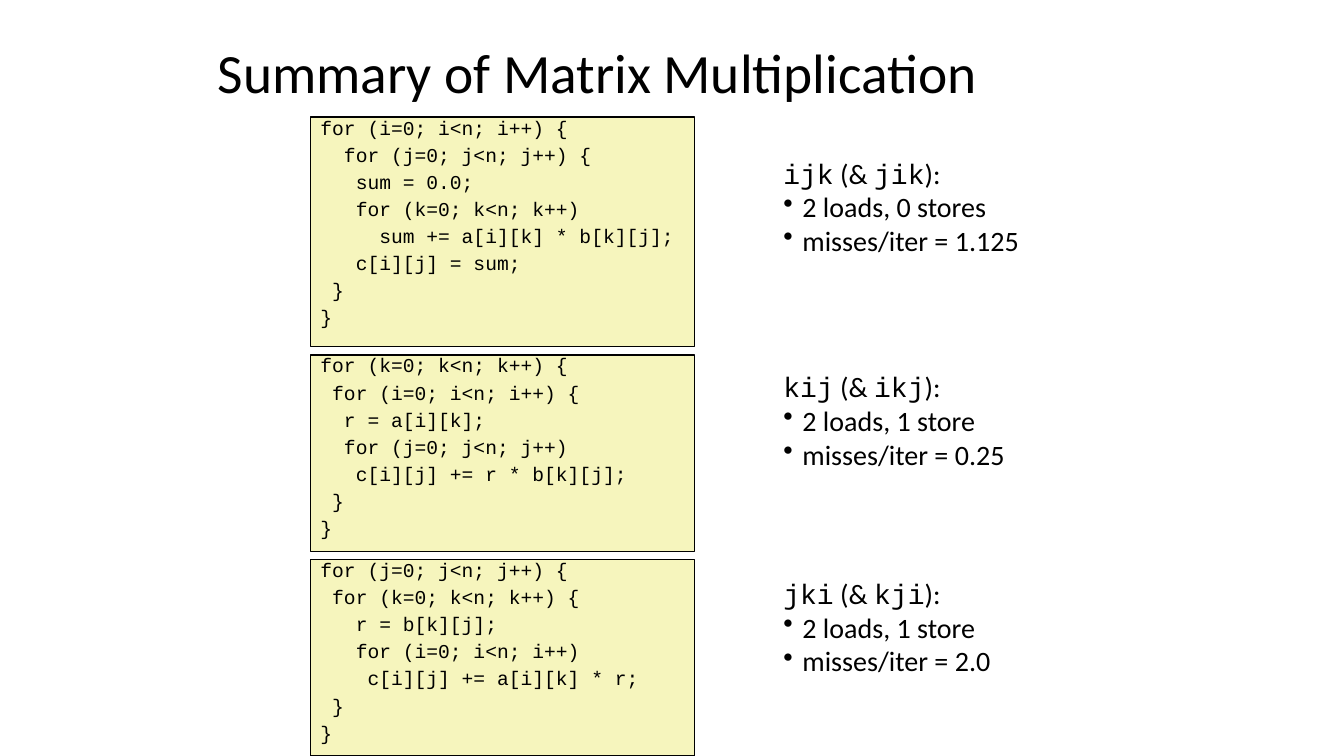
from dataclasses import dataclass

import pptx
import pptx.dml.color
import pptx.enum.shapes
import pptx.enum.text
import pptx.oxml
import pptx.oxml.ns
import pptx.util
from pptx.util import Inches


@dataclass(frozen=True)
class Theme:
    text: str = "000000"
    code_fill: str = "F6F5BD"
    body_font: str = "Calibri"
    code_font: str = "Courier New"
    title_size: float = 39.6
    note_size: float = 20
    code_size: float = 14


@dataclass(frozen=True)
class LoopOrder:
    name: str
    twin: str
    facts: tuple
    code: str
    code_top: float
    code_height: float
    note_top: float


THEME = Theme()

LOOP_ORDERS = (
    LoopOrder("ijk", "jik", ("2 loads, 0 stores", "misses/iter = 1.125"),
              """for (i=0; i<n; i++) {
  for (j=0; j<n; j++) {
   sum = 0.0;
   for (k=0; k<n; k++)
     sum += a[i][k] * b[k][j];
   c[i][j] = sum;
 }
}""", 1.16, 2.28, 1.5),
    LoopOrder("kij", "ikj", ("2 loads, 1 store", "misses/iter = 0.25"),
              """for (k=0; k<n; k++) {
 for (i=0; i<n; i++) {
  r = a[i][k];
  for (j=0; j<n; j++)
   c[i][j] += r * b[k][j];
 }
}""", 3.52, 1.95, 3.62),
    LoopOrder("jki", "kji", ("2 loads, 1 store", "misses/iter = 2.0"),
              """for (j=0; j<n; j++) {
 for (k=0; k<n; k++) {
   r = b[k][j];
   for (i=0; i<n; i++)
    c[i][j] += a[i][k] * r;
 }
}""", 5.55, 1.95, 5.67),
)


def color(value):
    return pptx.dml.color.RGBColor.from_string(value)


def add_run(paragraph, text, font, size):
    run = paragraph.add_run()
    run.text = text
    run.font.name = font
    run.font.size = pptx.util.Pt(size)
    run.font.color.rgb = color(THEME.text)


def prepare_frame(shape, anchor):
    frame = shape.text_frame
    frame.word_wrap = True
    frame.auto_size = pptx.enum.text.MSO_AUTO_SIZE.NONE
    frame.vertical_anchor = anchor
    frame.margin_left = frame.margin_right = Inches(0.1)
    frame.margin_top = frame.margin_bottom = Inches(0.05)
    return frame


def next_paragraph(frame, index):
    paragraph = frame.add_paragraph() if index else frame.paragraphs[0]
    paragraph.alignment = pptx.enum.text.PP_ALIGN.LEFT
    return paragraph


def add_bullet(paragraph):
    properties = paragraph._p.get_or_add_pPr()
    indent = Inches(0.19)
    properties.set("marL", str(indent))
    properties.set("indent", str(-indent))
    bullet = pptx.oxml.parse_xml(
        f'<a:buChar {pptx.oxml.ns.nsdecls("a")} char="\u2022"/>')
    properties.append(bullet)


def set_title(slide, text):
    title = slide.shapes.title
    title.left, title.top = Inches(2.06), Inches(0.33)
    title.width, title.height = Inches(8.3), Inches(0.83)
    frame = prepare_frame(title, pptx.enum.text.MSO_ANCHOR.MIDDLE)
    paragraph = next_paragraph(frame, 0)
    paragraph.line_spacing = 0.9
    add_run(paragraph, text, THEME.body_font, THEME.title_size)


def add_code_box(slide, order):
    box = slide.shapes.add_shape(
        pptx.enum.shapes.MSO_SHAPE.RECTANGLE, Inches(3.08),
        Inches(order.code_top), Inches(3.81), Inches(order.code_height))
    box.shadow.inherit = False
    box.fill.solid()
    box.fill.fore_color.rgb = color(THEME.code_fill)
    box.line.color.rgb = color(THEME.text)
    box.line.width = pptx.util.Pt(1)
    frame = prepare_frame(box, pptx.enum.text.MSO_ANCHOR.TOP)
    for index, line in enumerate(order.code.splitlines()):
        paragraph = next_paragraph(frame, index)
        paragraph.line_spacing = 0.7
        paragraph.space_before = pptx.util.Pt(7.6)
        add_run(paragraph, line, THEME.code_font, THEME.code_size)


def add_note(slide, order):
    note = slide.shapes.add_textbox(
        Inches(7.67), Inches(order.note_top), Inches(2.68), Inches(1.11))
    frame = prepare_frame(note, pptx.enum.text.MSO_ANCHOR.TOP)
    heading = next_paragraph(frame, 0)
    for text, font in ((order.name, THEME.code_font),
                       (" (& ", THEME.body_font),
                       (order.twin, THEME.code_font),
                       ("):", THEME.body_font)):
        add_run(heading, text, font, THEME.note_size)
    for index, fact in enumerate(order.facts, start=1):
        paragraph = next_paragraph(frame, index)
        paragraph.level = 1
        add_bullet(paragraph)
        add_run(paragraph, fact, THEME.body_font, THEME.note_size)


def main():
    presentation = pptx.Presentation()
    presentation.slide_width = Inches(13.33)
    presentation.slide_height = Inches(7.5)
    title_only = presentation.slide_layouts.get_by_name("Title Only")
    slide = presentation.slides.add_slide(title_only)
    set_title(slide, "Summary of Matrix Multiplication")
    for order in LOOP_ORDERS:
        add_note(slide, order)
        add_code_box(slide, order)
    presentation.save("out.pptx")


main()
